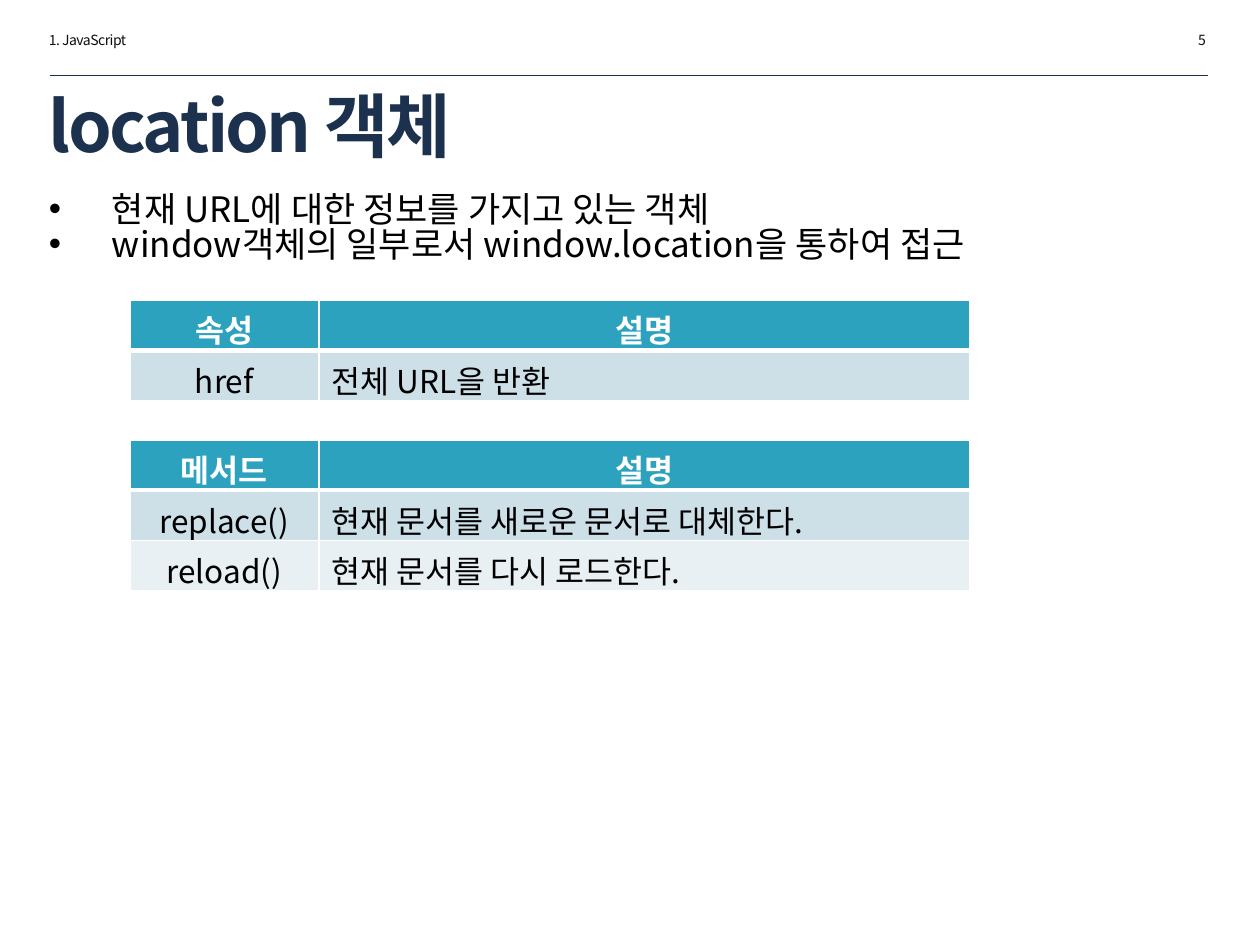
import pptx
import pptx.dml.color
import pptx.enum.text
import pptx.oxml
import pptx.oxml.ns
import pptx.util
from pptx.util import Inches

COLORS = {
    "navy": "1C314E",
    "ink": "0D0D0D",
    "black": "000000",
    "white": "FFFFFF",
    "teal": "2DA2BF",
    "band": "CDE0E8",
    "pale": "E8F0F4",
}
LEFT = pptx.enum.text.PP_ALIGN.LEFT
CENTER = pptx.enum.text.PP_ALIGN.CENTER
RIGHT = pptx.enum.text.PP_ALIGN.RIGHT
MIDDLE = pptx.enum.text.MSO_ANCHOR.MIDDLE
TOP = pptx.enum.text.MSO_ANCHOR.TOP


class SlideBuilder:
    """Draws styled elements on the current slide."""

    font = "Noto Sans CJK KR"

    def __init__(self, slide):
        self.slide = slide

    def color(self, name):
        return pptx.dml.color.RGBColor.from_string(COLORS[name])

    def element(self, parent, tag, **attributes):
        child = pptx.oxml.ns.qn(tag)
        child = parent.makeelement(child, attributes)
        parent.append(child)
        return child

    def run(self, paragraph, text, size, color, bold=False, spacing=0):
        run = paragraph.add_run()
        run.text = text
        run.font.size = pptx.util.Pt(size)
        run.font.bold = bold
        run.font.name = self.font
        run.font.color.rgb = self.color(color)
        properties = run.font._element
        self.element(properties, "a:ea", typeface=self.font)
        if spacing:
            properties.set("spc", str(round(spacing * 100)))

    def text(self, box, lines, size, color, bold=False, spacing=0,
             align=LEFT, anchor=TOP, bullet=None, line_spacing=None):
        shape = self.slide.shapes.add_textbox(*map(Inches, box))
        frame = shape.text_frame
        frame.word_wrap = True
        frame.vertical_anchor = anchor
        for index, line in enumerate(lines):
            paragraph = frame.add_paragraph() if index else frame.paragraphs[0]
            paragraph.alignment = align
            if line_spacing:
                paragraph.line_spacing = line_spacing
            if bullet:
                self.bullet(paragraph, bullet)
            self.run(paragraph, line, size, color, bold, spacing)

    def bullet(self, paragraph, character):
        properties = paragraph._p.get_or_add_pPr()
        properties.set("marL", str(Inches(0.5)))
        properties.set("indent", str(Inches(-0.5)))
        self.element(properties, "a:buFont", typeface="Arial")
        self.element(properties, "a:buChar", char=character)

    def line(self, start, end, color, width):
        connector = self.slide.shapes.add_connector(
            pptx.enum.shapes.MSO_CONNECTOR.STRAIGHT,
            *map(Inches, (*start, *end)))
        connector.line.color.rgb = self.color(color)
        connector.line.width = pptx.util.Pt(width)
        self.element(connector._element.spPr, "a:effectLst")

    def borders(self, cell, top, bottom):
        properties = cell._tc.get_or_add_tcPr()
        widths = {"a:lnL": 1, "a:lnR": 1, "a:lnT": top, "a:lnB": bottom}
        for index, (tag, width) in enumerate(widths.items()):
            border = self.element(properties, tag, w=str(pptx.util.Pt(width)))
            fill = self.element(border, "a:solidFill")
            self.element(fill, "a:srgbClr", val=COLORS["white"])
            properties.insert(index, border)

    def table(self, left, top, widths, row_height, rows):
        frame = self.slide.shapes.add_table(
            len(rows), len(widths), Inches(left), Inches(top),
            Inches(sum(widths)), Inches(row_height * len(rows)))
        table = frame.table
        for column, width in zip(table.columns, widths):
            column.width = Inches(width)
        for row_index, values in enumerate(rows):
            header = row_index == 0
            fill = "teal" if header else "band" if row_index % 2 else "pale"
            for column_index, value in enumerate(values):
                cell = table.cell(row_index, column_index)
                cell.margin_bottom = 0
                cell.fill.solid()
                cell.fill.fore_color.rgb = self.color(fill)
                self.borders(cell, 3 if row_index == 1 else 1,
                             3 if header else 1)
                paragraph = cell.text_frame.paragraphs[0]
                centered = header or column_index == 0
                paragraph.alignment = CENTER if centered else LEFT
                self.run(paragraph, value, 18,
                         "white" if header else "black", header)


def main():
    presentation = pptx.Presentation()
    presentation.slide_width = Inches(10)
    presentation.slide_height = Inches(7.5)
    slide = presentation.slides.add_slide(presentation.slide_layouts[6])
    builder = SlideBuilder(slide)

    builder.text((0.29, 0.2, 1.73, 0.24), ["1. JavaScript"], 8, "ink",
                 spacing=-0.3)
    builder.line((0.4, 0.6), (9.59, 0.6), "navy", 0.25)
    builder.text((0.29, 0.67, 7.65, 0.64), ["location 객체"], 40, "navy",
                 bold=True, spacing=-1.5, anchor=MIDDLE)
    builder.text((7.96, 0.2, 1.73, 0.24), ["5 "], 8, "ink",
                 spacing=-0.3, align=RIGHT)
    builder.text((0.29, 1.49, 9.31, 1.11), [
        "현재 URL에 대한 정보를 가지고 있는 객체",
        "window객체의 일부로서 window.location을 통하여 접근",
    ], 20, "black", bullet="•", line_spacing=0.84)

    tables = {
        2.38: [("속성", "설명"), ("href", "전체 URL을 반환")],
        3.49: [("메서드", "설명"),
               ("replace()", "현재 문서를 새로운 문서로 대체한다."),
               ("reload()", "현재 문서를 다시 로드한다.")],
    }
    for top, rows in tables.items():
        builder.table(1.03, top, (1.5, 5.17), 0.4, rows)

    presentation.save("out.pptx")


if __name__ == "__main__":
    main()
